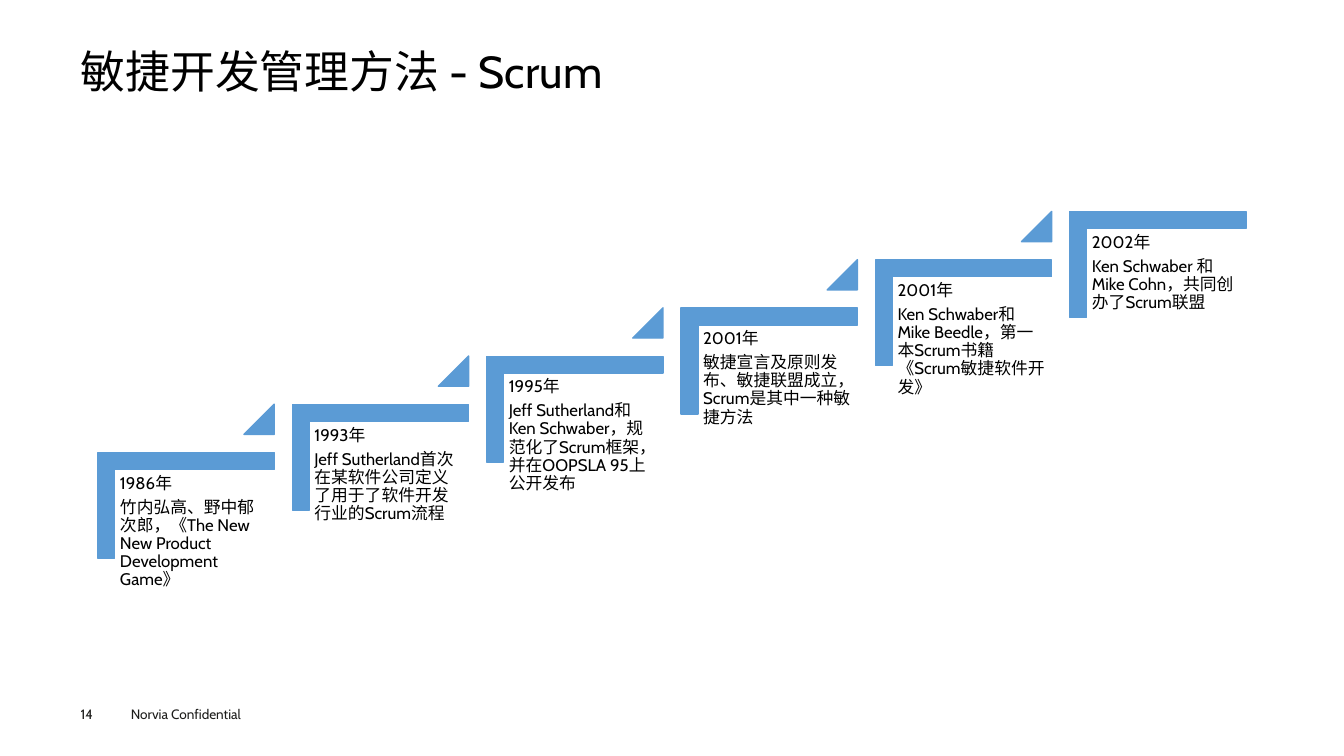
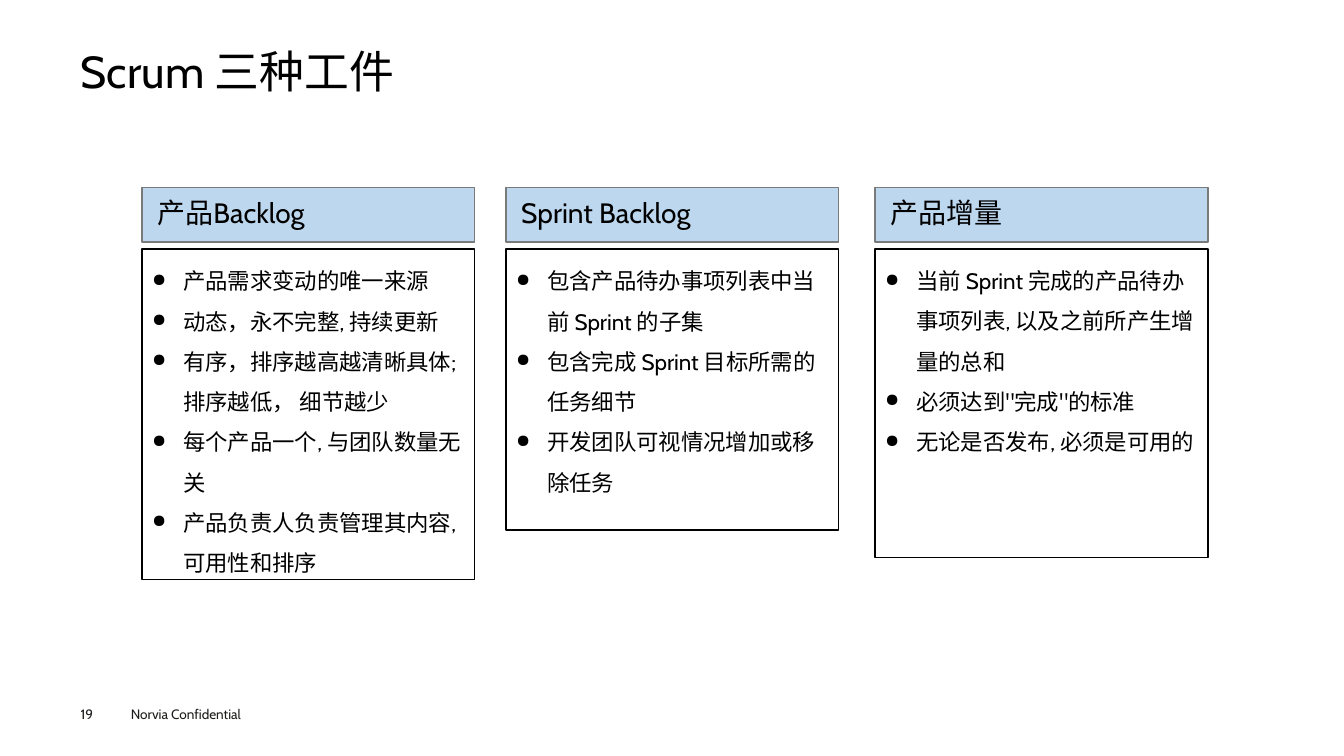
"""Build two slides: the history of Scrum and its three artefacts."""
from lxml.etree import SubElement
from pptx import Presentation
from pptx.dml.color import RGBColor
from pptx.enum.shapes import MSO_SHAPE as Shape
from pptx.enum.text import MSO_ANCHOR as Anchor, MSO_AUTO_SIZE as AutoSize, PP_ALIGN as Align
from pptx.oxml.ns import qn
from pptx.util import Emu, Pt

PX = 9144
FONT = "Cabin"
BLACK, WHITE, FOOTER_INK = "000000", "FFFFFF", "1D1D1B"
STEP_BLUE, HEADER_BLUE, HEADER_EDGE = "5B9BD5", "BDD7EE", "7A7A7A"
TITLE_AREA = (80, 49, 1173, 53)
NUMBER_AREA = (80, 700, 55, 16)
NOTICE_AREA = (120, 695, 160, 27)
NOTICE = "Norvia Confidential"

HISTORY = {
    "title": "敏捷开发管理方法 - Scrum",
    "number": "14",
    "steps": [
        ("1986年", "竹内弘高、野中郁次郎，《The New New Product Development Game》"),
        ("1993年", "Jeff Sutherland首次在某软件公司定义了用于了软件开发行业的Scrum流程"),
        ("1995年", "Jeff Sutherland和Ken Schwaber，规范化了Scrum框架，并在OOPSLA 95上公开发布"),
        ("2001年", "敏捷宣言及原则发布、敏捷联盟成立，Scrum是其中一种敏捷方法"),
        ("2001年", "Ken Schwaber和Mike Beedle，第一本Scrum书籍《Scrum敏捷软件开发》"),
        ("2002年", "Ken Schwaber 和Mike Cohn，共同创办了Scrum联盟"),
    ],
}
ARTEFACTS = {
    "title": "Scrum 三种工件",
    "number": "19",
    "cards": [
        (141, 328, "产品Backlog", [
            "产品需求变动的唯一来源",
            "动态，永不完整, 持续更新",
            "有序，排序越高越清晰具体; 排序越低， 细节越少",
            "每个产品一个, 与团队数量无关",
            "产品负责人负责管理其内容, 可用性和排序",
        ]),
        (502, 279, "Sprint Backlog", [
            "包含产品待办事项列表中当前 Sprint 的子集",
            "包含完成 Sprint 目标所需的任务细节",
            "开发团队可视情况增加或移除任务",
        ]),
        (868, 306, "产品增量", [
            "当前 Sprint 完成的产品待办事项列表, 以及之前所产生增量的总和",
            '必须达到"完成"的标准',
            "无论是否发布, 必须是可用的",
        ]),
    ],
}


def px(value):
    return Emu(round(value * PX))


def color(value):
    return RGBColor.from_string(value)


def add_bullet(para):
    props = para._p.get_or_add_pPr()
    props.set("marL", str(px(31)))
    props.set("indent", str(px(-31)))
    SubElement(props, qn("a:buSzPct"), val="80000")
    SubElement(props, qn("a:buChar"), char="●")


def write(box, lines, size, ink=BLACK, insets=(10, 5), anchor=Anchor.TOP,
          spacing=None, after=None, bullets=False):
    frame = box.text_frame
    frame.word_wrap = True
    frame.auto_size = AutoSize.NONE
    frame.vertical_anchor = anchor
    frame.margin_left = frame.margin_right = px(insets[0])
    frame.margin_top = frame.margin_bottom = px(insets[1])
    for index, line in enumerate(lines):
        para = frame.add_paragraph() if index else frame.paragraphs[0]
        if bullets:
            add_bullet(para)
        para.alignment = Align.LEFT
        if spacing:
            para.line_spacing = spacing
        if after:
            para.space_after = Pt(after)
        span = para.add_run()
        span.text = line
        span.font.name = FONT
        span.font.size = Pt(size)
        span.font.color.rgb = color(ink)


def add_text(page, area, lines, size, **style):
    box = page.shapes.add_textbox(*map(px, area))
    write(box, lines, size, **style)


def add_shape(page, kind, area, fill, edge):
    shape = page.shapes.add_shape(kind, *map(px, area))
    shape.shadow.inherit = False
    shape.fill.solid()
    shape.fill.fore_color.rgb = color(fill)
    shape.line.color.rgb = color(edge)
    shape.line.width = Pt(1)
    return shape


def add_page(deck, content):
    page = deck.slides.add_slide(deck.slide_layouts[5])
    title = page.shapes.title
    title.left, title.top, title.width, title.height = map(px, TITLE_AREA)
    write(title, [content["title"]], 32, insets=(0, 0), spacing=0.9)
    add_text(page, NOTICE_AREA, [NOTICE], 9.7, ink=FOOTER_INK)
    add_text(page, NUMBER_AREA, [content["number"]], 9.7, ink=FOOTER_INK, insets=(0, 0))
    return page


def add_history(deck):
    page = add_page(deck, HISTORY)
    last = len(HISTORY["steps"]) - 1
    for index, lines in enumerate(HISTORY["steps"]):
        left, top = 132 + 192.8 * index, 414 - 47.8 * index
        corner = add_shape(page, Shape.CORNER, (left, top, 105, 175), STEP_BLUE, STEP_BLUE)
        corner.rotation = 90
        corner.adjustments[0] = corner.adjustments[1] = 0.16
        add_text(page, (left - 18, top + 52, 158, 138), lines, 12,
                 insets=(5, 5), spacing=0.9, after=4.2)
        if index < last:
            area = (left + 110, top - 13, 30, 30)
            riser = add_shape(page, Shape.ISOSCELES_TRIANGLE, area, STEP_BLUE, STEP_BLUE)
            riser.adjustments[0] = 1


def add_artefacts(deck):
    page = add_page(deck, ARTEFACTS)
    for left, height, heading, points in ARTEFACTS["cards"]:
        header = add_shape(page, Shape.RECTANGLE, (left, 186, 330, 54), HEADER_BLUE, HEADER_EDGE)
        write(header, [heading], 20, insets=(15, 12), anchor=Anchor.MIDDLE, spacing=0.9)
        body = add_shape(page, Shape.RECTANGLE, (left, 247, 330, height), WHITE, BLACK)
        write(body, points, 16, spacing=1.5, bullets=True)


def main():
    deck = Presentation()
    deck.slide_width, deck.slide_height = px(1333), px(750)
    add_history(deck)
    add_artefacts(deck)
    deck.save("out.pptx")


if __name__ == "__main__":
    main()
